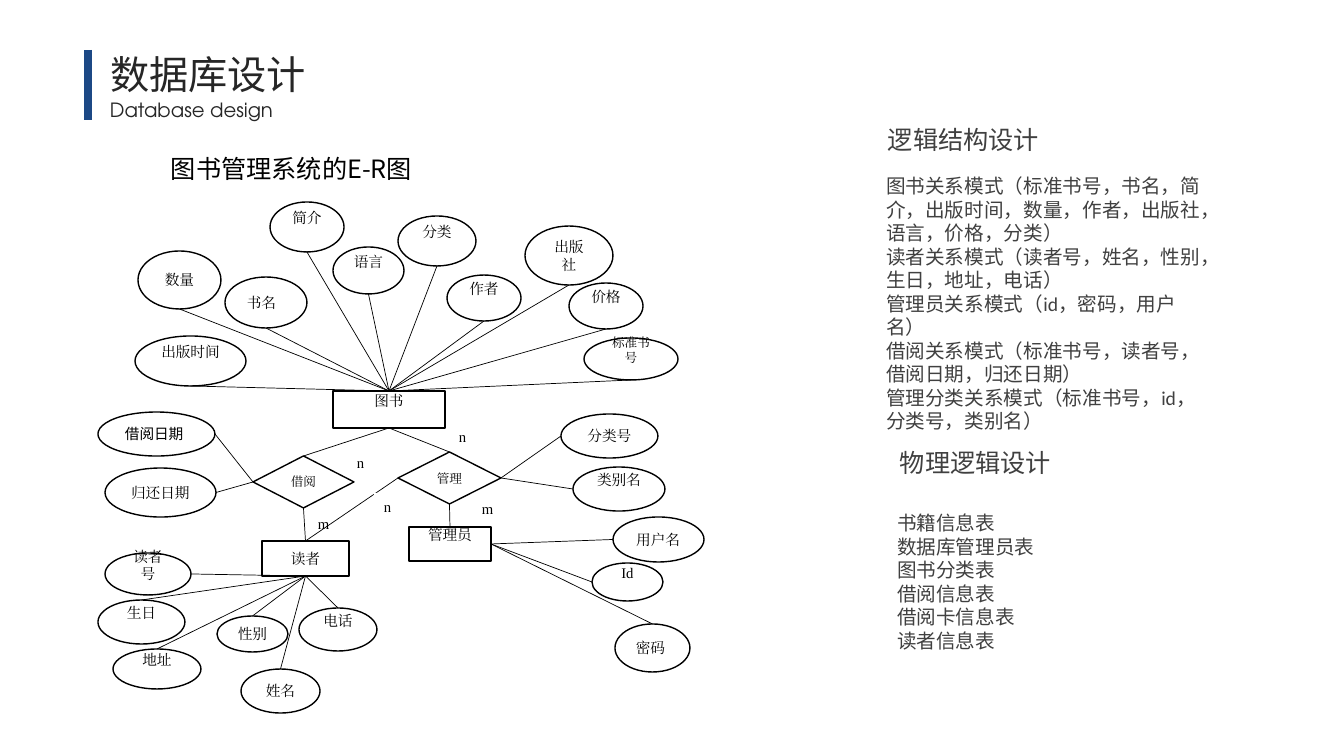
import pptx
import pptx.util
import pptx.dml.color
import pptx.enum.shapes
import pptx.enum.text
import lxml.etree

ALIGN = pptx.enum.text.PP_ALIGN
ANCHOR = pptx.enum.text.MSO_ANCHOR
KIND = pptx.enum.shapes.MSO_SHAPE

# Theme: colours, fonts and type sizes
THEME = {
    "title": ("Calibri", 28, "262626"),
    "sub": ("TeX Gyre Adventor", 14, "262626"),
    "chart": ("Noto Sans CJK SC", 18, "000000"),
    "logic": ("Noto Sans CJK SC", 18, "404040"),
    "head": ("Calibri", 18, "404040"),
    "body": ("Calibri", 14, "404040"),
    "node": ("Times New Roman", 10.5, "000000"),
    "date": ("Noto Sans CJK SC", 10.5, "000000"),
    "small": ("Times New Roman", 9, "000000"),
    "ink": "000000", "paper": "FFFFFF", "accent": "1C4885",
}

# Content: boxes are left, top, width, height in px
TITLE = ("数据库设计", (100, 45, 280, 57))
NOTES = [
    ("Database design", "sub", (100, 93, 228, 34), ALIGN.LEFT),
    ("图书管理系统的E-R图", "chart", (136, 148, 286, 40), ALIGN.RIGHT),
    ("逻辑结构设计", "logic", (878, 119, 245, 40), ALIGN.LEFT),
    ("物理逻辑设计", "head", (890, 442, 245, 40), ALIGN.LEFT),
]
LISTS = [
    ((876, 169, 338, 248), [
        "图书关系模式（标准书号，书名，简介，出版时间，数量，作者，出版社，语言，价格，分类）",
        "读者关系模式（读者号，姓名，性别，生日，地址，电话）",
        "管理员关系模式（id，密码，用户名）",
        "借阅关系模式（标准书号，读者号，借阅日期，归还日期）",
        "管理分类关系模式（标准书号，id，分类号，类别名）",
    ]),
    ((887, 506, 316, 152), [
        "书籍信息表", "数据库管理员表", "图书分类表",
        "借阅信息表", "借阅卡信息表", "读者信息表",
    ]),
]
TABLES = {
    "管理员": (409, 527, 82, 34),
    "图书": (333, 391, 112, 37),
    "读者": (262, 541, 87, 35),
}
TIES = {
    "借阅": (253, 456, 101, 52),
    "管理": (398, 452, 103, 52),
}
FIELDS = {
    "简介": (270, 202, 74, 50),
    "出版时间": (135, 336, 111, 50),
    "数量": (138, 251, 83, 58),
    "书名": (225, 277, 82, 51),
    "作者": (447, 275, 74, 46),
    "出版社": (525, 226, 88, 59),
    "标准书号": (584, 338, 94, 42),
    "语言": (333, 247, 71, 47),
    "分类": (398, 216, 78, 50),
    "Id": (592, 563, 71, 38),
    "密码": (615, 624, 75, 48),
    "用户名": (613, 517, 91, 45),
    "姓名": (241, 669, 79, 44),
    "性别": (217, 616, 71, 36),
    "生日": (98, 600, 87, 44),
    "地址": (113, 649, 88, 40),
    "电话": (299, 608, 78, 43),
    "价格": (569, 283, 74, 46),
    "借阅日期": (98, 412, 117, 44),
    "归还日期": (105, 468, 111, 49),
    "读者号": (105, 553, 86, 42),
    "分类号": (561, 414, 97, 44),
    "类别名": (573, 467, 92, 44),
}
RAISED = set("管理员 图书 简介 出版时间 作者 标准书号 语言 分类 Id 生日 地址 电话 价格 读者号 类别名".split())
LEFT = {"书名", "密码", "用户名", "借阅日期", "归还日期"}
STYLES = {"标准书号": "small", "借阅": "small", "管理": "small", "借阅日期": "date"}

# Links: hub, hub side, far side, far nodes
TOP, WEST, BASE, EAST = range(4)
LINKS = [
    ("图书", TOP, BASE, "书名 简介 语言 出版社 分类 作者 标准书号 数量 出版时间 价格"),
    ("借阅", WEST, EAST, "借阅日期 归还日期"),
    ("读者", BASE, TOP, "生日 地址 性别 电话 姓名"),
    ("读者", BASE, EAST, "读者号"),
    ("图书", BASE, TOP, "借阅 管理"),
    ("借阅", BASE, TOP, "读者"),
    ("管理", BASE, TOP, "管理员"),
    ("管理", EAST, WEST, "分类号 类别名"),
    ("管理员", EAST, WEST, "用户名 Id"),
    ("管理员", EAST, TOP, "密码"),
    ("管理", WEST, TOP, "读者"),
]
UNDER = [
    ("n", (347, 449, 33, 24)), ("m", (308, 510, 33, 24)),
    ("m", (472, 495, 33, 24)), ("n", (449, 423, 33, 24)),
]
OVER = [("n", (374, 493, 24, 25))]


def px(num):
    return round(num * 914400 / 100.8)


def tint(code):
    return pptx.dml.color.RGBColor.from_string(code)


def put(frame, lines, style, align=ALIGN.LEFT, anchor=ANCHOR.TOP):
    face, size, color = THEME[style]
    frame.word_wrap = True
    frame.auto_size = pptx.enum.text.MSO_AUTO_SIZE.NONE
    frame.vertical_anchor = anchor
    for i, line in enumerate(lines):
        para = frame.paragraphs[0] if i == 0 else frame.add_paragraph()
        para.alignment = align
        para.space_before = pptx.util.Pt(0)
        run = para.add_run()
        run.text = line
        run.font.name = face
        run.font.size = pptx.util.Pt(size)
        run.font.color.rgb = tint(color)
        east = lxml.etree.SubElement(run.font._element, pptx.oxml.ns.qn("a:ea"))
        east.set("typeface", face)


def place(shape, box):
    shape.left, shape.top, shape.width, shape.height = map(px, box)


def block(kind, box, line=True):
    shape = slide.shapes.add_shape(kind, *map(px, box))
    shape.shadow.inherit = False
    shape.fill.solid()
    shape.fill.fore_color.rgb = tint(THEME["paper"])
    if line:
        shape.line.color.rgb = tint(THEME["ink"])
        shape.line.width = pptx.util.Pt(1)
    else:
        shape.line.fill.background()
    return shape


def wire(start, end, color, width):
    line = slide.shapes.add_connector(
        pptx.enum.shapes.MSO_CONNECTOR.STRAIGHT, *map(px, start + end))
    line.line.color.rgb = tint(THEME[color])
    line.line.width = pptx.util.Pt(width)
    lxml.etree.SubElement(line._element.spPr, pptx.oxml.ns.qn("a:effectLst"))
    return line


def port(name, side):
    x, y, w, h = boxes[name]
    return [(x + w / 2, y), (x, y + h / 2), (x + w / 2, y + h), (x + w, y + h / 2)][side]


def label(tags):
    for text, box in tags:
        put(block(KIND.RECTANGLE, box, False).text_frame, [text], "node")


# Slide, title and lists
deck = pptx.Presentation()
deck.slide_width, deck.slide_height = px(1344), px(756)
slide = deck.slides.add_slide(deck.slide_layouts[3])
title, *bodies = slide.placeholders
place(title, TITLE[1])
put(title.text_frame, [TITLE[0]], "title")
for body, (box, lines) in zip(bodies, LISTS):
    place(body, box)
    put(body.text_frame, lines, "body")
    for para in body.text_frame.paragraphs:
        props = para._p.get_or_add_pPr()
        props.set("marL", "0")
        props.set("indent", "0")
        lxml.etree.SubElement(props, pptx.oxml.ns.qn("a:buNone"))

# Headings and accent bar
for text, style, box, align in NOTES:
    put(slide.shapes.add_textbox(*map(px, box)).text_frame, [text], style, align)
wire((88, 50), (88, 120), "accent", 6)

# Diagram nodes
boxes = {**TABLES, **TIES, **FIELDS}
nodes = {}
for kind, group in ((KIND.RECTANGLE, TABLES), (KIND.FLOWCHART_DECISION, TIES), (KIND.OVAL, FIELDS)):
    for name, box in group.items():
        nodes[name] = block(kind, box)
        frame = nodes[name].text_frame
        put(frame, [name], STYLES.get(name, "node"),
            ALIGN.LEFT if name in LEFT else ALIGN.CENTER, ANCHOR.MIDDLE)
        if name in RAISED:
            frame.margin_top, frame.margin_bottom = 0, px(18)

# Links and their labels
label(UNDER)
for hub, side, far, names in LINKS:
    for name in names.split():
        line = wire(port(hub, side), port(name, far), "ink", 0.5)
        line.begin_connect(nodes[hub], side)
        if name not in FIELDS:
            line.end_connect(nodes[name], far)
label(OVER)

deck.save("out.pptx")
